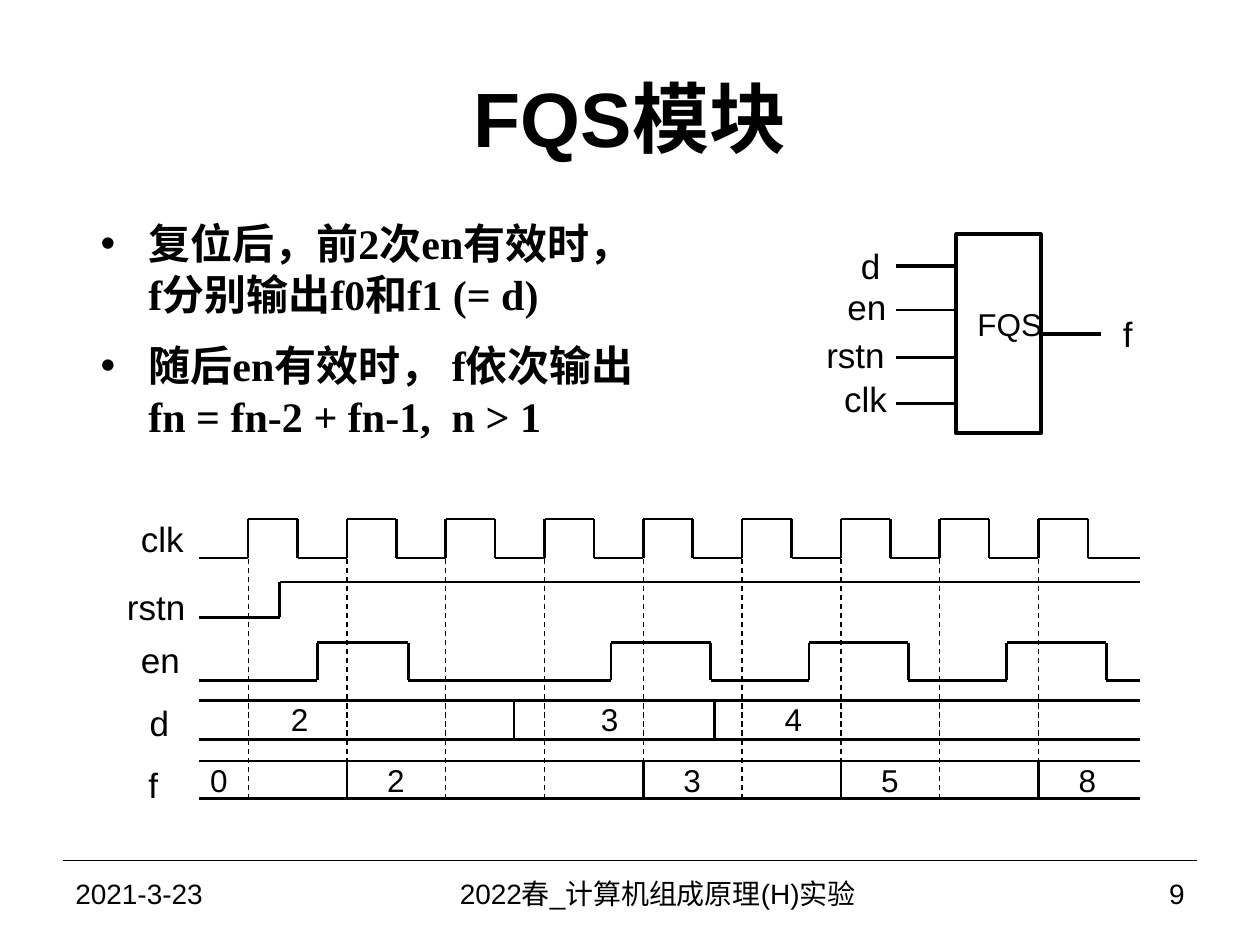
from itertools import pairwise

from lxml.etree import SubElement
from pptx import Presentation
from pptx.dml.color import RGBColor
from pptx.enum.dml import MSO_LINE
from pptx.enum.shapes import MSO_CONNECTOR, MSO_SHAPE
from pptx.enum.text import MSO_ANCHOR, MSO_AUTO_SIZE, PP_ALIGN
from pptx.oxml.ns import qn
from pptx.util import Inches, Pt

BLACK = RGBColor(0, 0, 0)
MODULE = "FQS"


def style(p, size, name="Arial", bold=False):
    p.font.size = Pt(size)
    p.font.name = name
    p.font.bold = bold
    p.font.color.rgb = BLACK


def add_text(s, box, text, size, align=PP_ALIGN.LEFT, anchor=MSO_ANCHOR.MIDDLE, bold=False):
    tf = s.shapes.add_textbox(*map(Inches, box)).text_frame
    tf.word_wrap = True
    tf.vertical_anchor = anchor
    p = tf.paragraphs[0]
    p.text = text
    p.alignment = align
    style(p, size, bold=bold)
    return tf


def add_label(s, x, y, text, size=20, w=0.8, h=0.37):
    tf = add_text(s, (x, y, w, h), text, size, anchor=MSO_ANCHOR.TOP)
    tf.word_wrap = False
    tf.auto_size = MSO_AUTO_SIZE.SHAPE_TO_FIT_TEXT


def add_line(s, start, end, width=1.5, dash=None):
    line = s.shapes.add_connector(MSO_CONNECTOR.STRAIGHT, *map(Inches, (*start, *end)))
    line.line.color.rgb = BLACK
    line.line.width = Pt(width)
    line.line.dash_style = dash
    SubElement(line._element.spPr, qn("a:effectLst"))
    return line


def add_bullets(s, box, items):
    tf = s.shapes.add_textbox(*map(Inches, box)).text_frame
    tf.word_wrap = True
    for i, (text, before) in enumerate(items):
        p = tf.paragraphs[0] if i == 0 else tf.add_paragraph()
        p.text = text
        p.space_before = Pt(before)
        style(p, 24, "Times New Roman", True)
        pPr = p._p.get_or_add_pPr()
        pPr.set("marL", str(Inches(0.38)))
        pPr.set("indent", str(-Inches(0.38)))
        defaults = pPr.find(qn("a:defRPr"))
        for tag, key, value in [("a:buFont", "typeface", "Arial"), ("a:buChar", "char", "•")]:
            defaults.addprevious(pPr.makeelement(qn(tag), {key: value}))


def add_pin_name(s, center_x, center_y, text):
    tf = add_text(s, (center_x - 0.3, center_y - 0.2, 0.6, 0.4), text, 20, PP_ALIGN.CENTER)
    tf.word_wrap = False
    tf.margin_left = tf.margin_right = tf.margin_top = tf.margin_bottom = 0


def add_module(s, box):
    left, top, w, h = box
    body = s.shapes.add_shape(MSO_SHAPE.RECTANGLE, *map(Inches, box))
    body.shadow.inherit = False
    body.fill.background()
    body.line.color.rgb = BLACK
    body.line.width = Pt(2.25)
    add_label(s, left + 0.07, top + 0.51, MODULE, 18)
    pins = [("d", 0.25, -0.68, 0.25, 2.25), ("en", 0.6, -0.71, 0.57, 1.5),
            ("rstn", 0.98, -0.8, 0.95, 1.5), ("clk", 1.34, -0.72, 1.3, 1.5)]
    for name, y, name_x, name_y, width in pins:
        add_line(s, (left - 0.48, top + y), (left, top + y), width)
        add_pin_name(s, left + name_x, top + name_y, name)
    middle, right = top + h / 2, left + w
    output = add_line(s, (right, middle), (right + 0.48, middle), 2.25)
    output.begin_connect(body, 3)
    add_pin_name(s, right + 0.69, middle, "f")


def add_wave(s, left, right, high, low, edges):
    points = [(left, low)]
    level, other = low, high
    for x in edges:
        points += [(x, level), (x, other)]
        level, other = other, level
    points.append((right, level))
    for start, end in pairwise(points):
        add_line(s, start, end)


def add_bus(s, left, right, top, bottom, changes, values):
    for y in (top, bottom):
        add_line(s, (left, y), (right, y))
    for x in changes:
        add_line(s, (x, top), (x, bottom))
    for x, value in values:
        add_label(s, x, top - 0.05, value, 18, w=0.34)


def add_timing(s, box):
    left, top, w, h = box
    right = left + w
    period = 0.784
    rises = [left + 0.39 + i * period for i in range(9)]
    for x in rises:
        add_line(s, (x, top + h), (x, top), 0.75, MSO_LINE.DASH)

    clk_edges = [x + half for x in rises for half in (0, period / 2)]
    en_edges = [left + x for x in (0.94, 1.66, 3.27, 4.06, 4.84, 5.63, 6.41, 7.2)]
    add_wave(s, left, right, top, top + 0.31, clk_edges)
    add_wave(s, left, right, top + 0.5, top + 0.78, [left + 0.64])
    add_wave(s, left, right, top + 0.98, top + 1.28, en_edges)
    add_bus(s, left, right, top + 1.44, top + 1.75, [left + 2.5, left + 4.09],
            [(left + 0.63, "2"), (left + 3.09, "3"), (left + 4.55, "4")])
    f_changes = [rises[i] for i in (1, 4, 6, 8)]
    f_values = [(left - 0.01, "0")] + [(x + 0.22, v) for x, v in zip(f_changes, "2358")]
    add_bus(s, left, right, top + 1.92, top + h, f_changes, f_values)

    for name, x, y in [("clk", -0.56, -0.06), ("rstn", -0.67, 0.48), ("en", -0.56, 0.9),
                       ("d", -0.49, 1.4), ("f", -0.5, 1.89)]:
        add_label(s, left + x, top + y, name)


def add_footer(s, box):
    left, top, w, h = box
    add_line(s, (left, top), (left + w, top), 0.75)
    add_text(s, (left, top, 2.33, h), "2021-3-23", 16)
    add_text(s, (left + 2.33, top, 4.83, h), "2022春_计算机组成原理(H)实验 ", 16, PP_ALIGN.CENTER)
    add_text(s, (left + w - 1.75, top, 1.75, h), "9", 16, PP_ALIGN.RIGHT)


def main():
    prs = Presentation()
    prs.slide_width, prs.slide_height = Inches(10), Inches(7.5)
    s = prs.slides.add_slide(prs.slide_layouts[6])
    add_text(s, (0.5, 0.3, 9, 1.25), f"{MODULE}模块", 44, PP_ALIGN.CENTER, bold=True)
    add_bullets(s, (0.7, 1.68, 4.46, 2.45), [
        ("复位后，前2次en有效时，f分别输出f0和f1 (= d)", 6),
        ("随后en有效时， f依次输出fn = fn-2 + fn-1,  n > 1", 12),
    ])
    add_module(s, (7.59, 1.86, 0.67, 1.58))
    add_timing(s, (1.58, 4.12, 7.47, 2.22))
    add_footer(s, (0.5, 6.83, 9, 0.52))
    prs.save("out.pptx")


if __name__ == "__main__":
    main()
